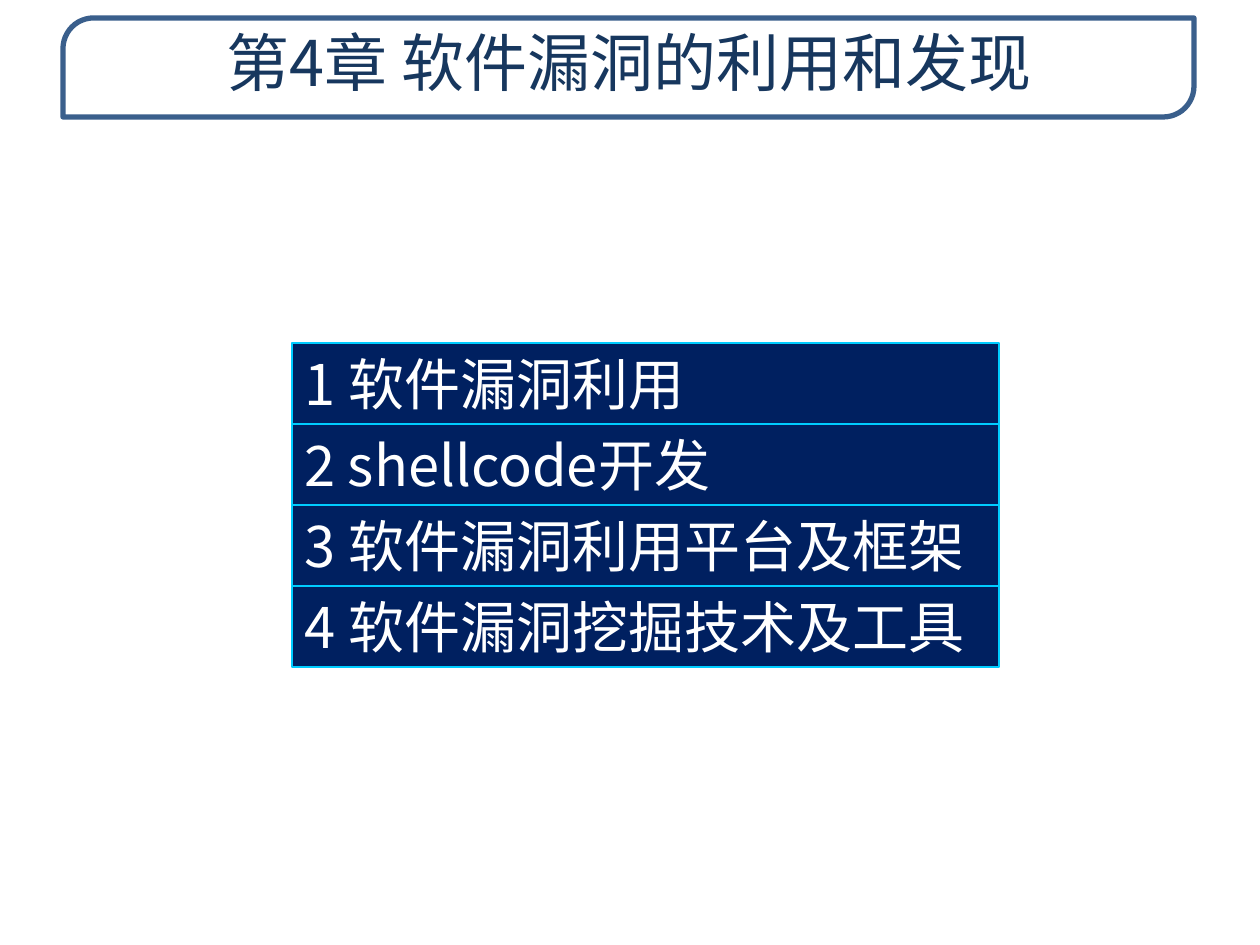
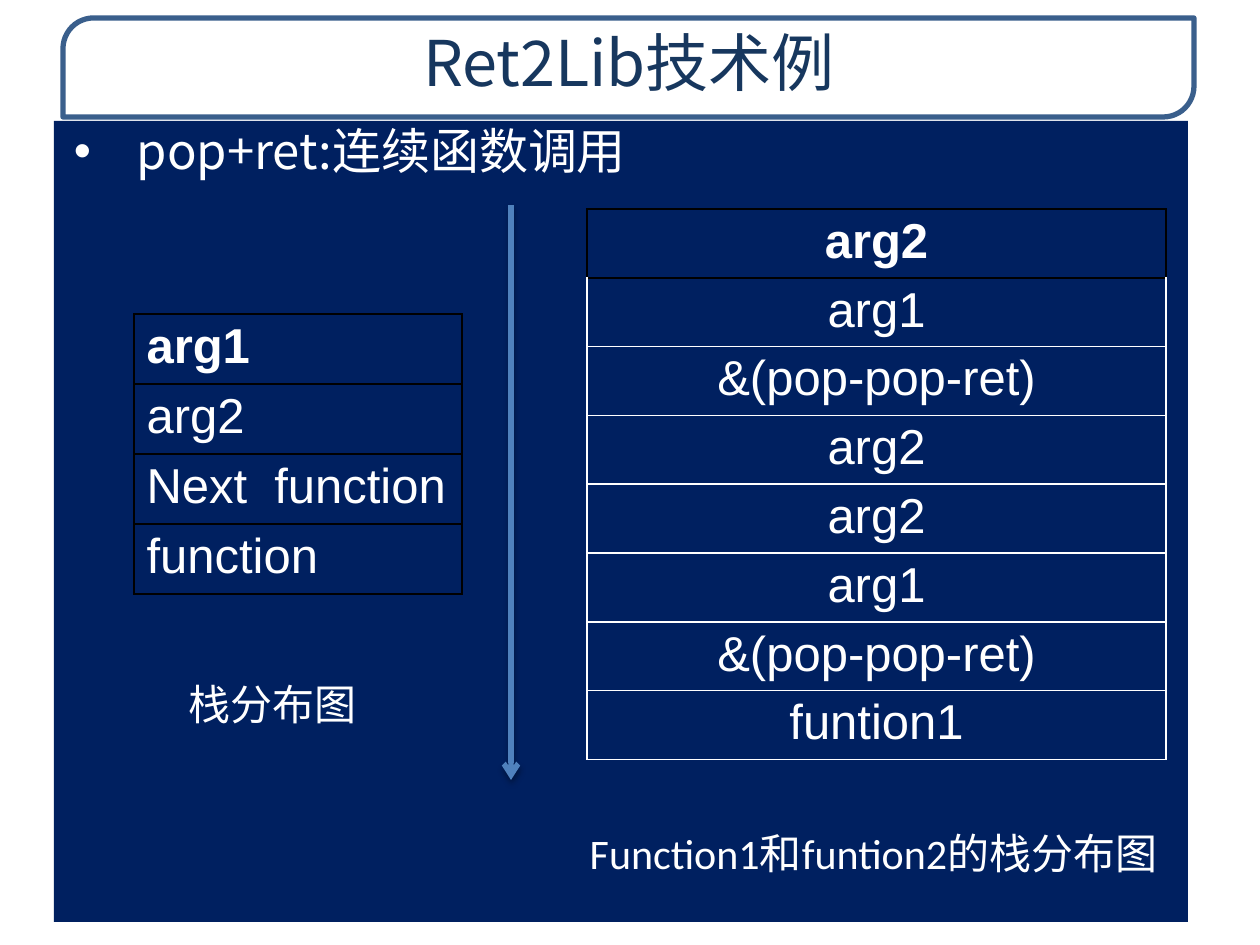
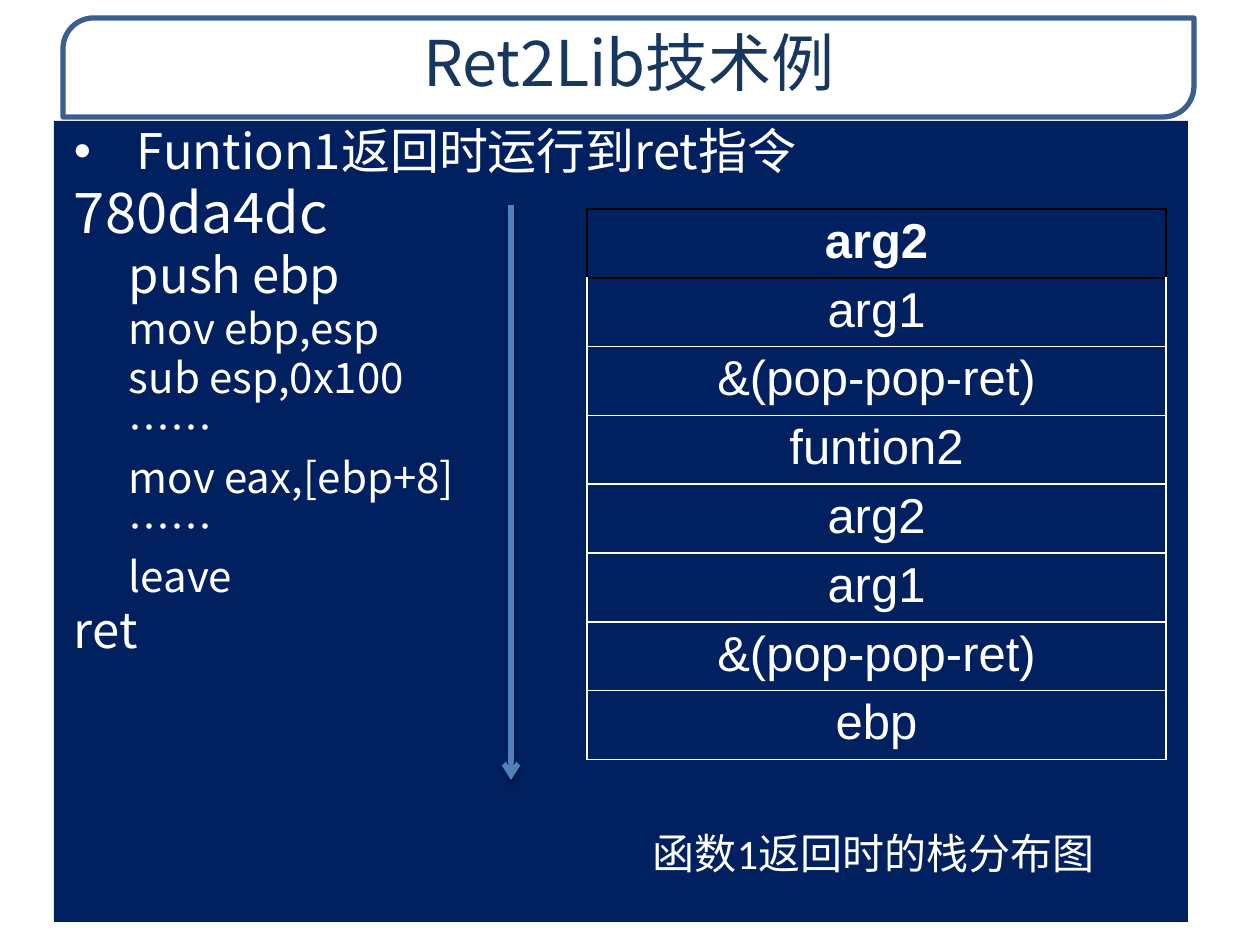
from lxml import etree
from pptx import Presentation
from pptx import util as u
from pptx.dml.color import RGBColor
from pptx.enum import shapes, text
from pptx.oxml.ns import qn

EMU_PER_PX = 914400 / 126
NAVY, WHITE, BLACK = "002060", "FFFFFF", "000000"
TITLE_INK, TITLE_EDGE = "17375E", "3A5F8C"
TOPIC_EDGE, ARROW_BLUE = "00CCFF", "4F81BD"
HAN_FONT, LATIN_FONT, STACK_FONT = "Noto Sans CJK SC", "Calibri", "Arial"
TIGHT = 0.9
CENTER, LEFT, JUSTIFY = text.PP_ALIGN.CENTER, text.PP_ALIGN.LEFT, text.PP_ALIGN.JUSTIFY
RECT = shapes.MSO_SHAPE.RECTANGLE


def px(length):
    return u.Emu(round(length * EMU_PER_PX))


def rgb(color):
    return RGBColor.from_string(color)


def child(parent, tag, **attributes):
    return etree.SubElement(parent, qn(tag), attributes)


def write(paragraph, words, size, font=HAN_FONT, color=WHITE, align=LEFT, bold=False):
    paragraph.alignment = align
    run = paragraph.add_run()
    run.text = words
    run.font.size = u.Pt(size)
    run.font.bold = bold
    run.font.color.rgb = rgb(color)
    run.font.name = font
    child(run._r.get_or_add_rPr(), "a:ea", typeface=HAN_FONT)


def block(slide, box, fill=NAVY, edge=None, edge_width=0.75, kind=RECT):
    shape = slide.shapes.add_shape(kind, *map(px, box))
    shape.shadow.inherit = False
    shape.fill.solid()
    shape.fill.fore_color.rgb = rgb(fill)
    if edge:
        shape.line.color.rgb = rgb(edge)
        shape.line.width = u.Pt(edge_width)
    else:
        shape.line.fill.background()
    shape.text_frame.word_wrap = True
    return shape


def title(slide, words):
    frame = block(slide, (63, 18, 1131, 99), WHITE, TITLE_EDGE, 3,
                  shapes.MSO_SHAPE.ROUND_2_DIAG_RECTANGLE)
    frame.adjustments[0] = 0.31
    frame.adjustments[1] = 0
    white = frame._element.spPr.find(qn("a:solidFill"))[0]
    child(white, "a:alpha", val="85000")

    heading = slide.shapes.add_textbox(*map(px, (64, 18, 1130, 96))).text_frame
    heading.word_wrap = True
    heading.vertical_anchor = text.MSO_ANCHOR.MIDDLE
    heading.paragraphs[0].line_spacing = TIGHT
    write(heading.paragraphs[0], words, 36, color=TITLE_INK, align=CENTER)


def topics(slide, names):
    height = 81
    for number, name in enumerate(names):
        top = 343 + number * height
        frame = block(slide, (292, top, 707, height), edge=TOPIC_EDGE).text_frame
        frame.margin_top = frame.margin_bottom = 0
        frame.vertical_anchor = text.MSO_ANCHOR.MIDDLE
        write(frame.paragraphs[0], f"{number + 1} {name}", 32)


def body(slide, lines):
    """Fill the navy panel with (words, size, level) lines; the first has a bullet."""
    frame = block(slide, (54, 121, 1134, 801)).text_frame
    frame.vertical_anchor = text.MSO_ANCHOR.TOP
    frame.margin_left = frame.margin_right = px(20)
    frame.margin_top = frame.margin_bottom = px(6)
    for index, (words, size, level) in enumerate(lines):
        paragraph = frame.add_paragraph() if index else frame.paragraphs[0]
        properties = paragraph._p.get_or_add_pPr()
        properties.set("marL", str(px(63 + 55 * level)))
        properties.set("indent", str(px(-63)))
        if index:
            child(properties, "a:buNone")
            paragraph.space_before = u.Pt(size / 10)
        else:
            child(properties, "a:buFont", typeface=STACK_FONT)
            child(properties, "a:buChar", char="•")
        paragraph.level = level
        paragraph.line_spacing = TIGHT
        write(paragraph, words, size, align=JUSTIFY)


def borders(cell, color, top):
    properties = cell._tc.get_or_add_tcPr()
    sides = {"L": color, "R": color, "T": top, "B": color}
    for place, (side, ink) in enumerate(sides.items()):
        line = etree.Element(qn(f"a:ln{side}"), w=str(u.Pt(1)))
        child(child(line, "a:solidFill"), "a:srgbClr", val=ink)
        properties.insert(place, line)


def stack(slide, box, entries, edge, align):
    """Draw a call stack; its first entry is bold with black borders."""
    table = slide.shapes.add_table(len(entries), 1, *map(px, box)).table
    table.first_row = table.horz_banding = False
    for index, entry in enumerate(entries):
        table.rows[index].height = px(box[3] / len(entries))
        cell = table.cell(index, 0)
        cell.margin_top = cell.margin_bottom = px(5)
        cell.fill.solid()
        cell.fill.fore_color.rgb = rgb(NAVY)
        borders(cell, edge if index else BLACK, edge if index > 1 else BLACK)
        write(cell.text_frame.paragraphs[0], entry, 28, STACK_FONT,
              align=align, bold=index == 0)


def call_stack(slide, entries):
    stack(slide, (587, 209, 579, 538), entries, WHITE, CENTER)


def growth_arrow(slide):
    arrow = slide.shapes.add_connector(shapes.MSO_CONNECTOR.STRAIGHT,
                                       px(511), px(205), px(511), px(780))
    arrow.line.color.rgb = rgb(ARROW_BLUE)
    arrow.line.width = u.Pt(3)
    child(arrow.line._get_or_add_ln(), "a:tailEnd", type="arrow")
    effects = child(arrow._element.spPr, "a:effectLst")
    shadow = child(effects, "a:outerShdw", blurRad=str(u.Pt(3.1)), dist=str(u.Pt(1.8)),
                   dir="5400000", rotWithShape="0")
    child(child(shadow, "a:srgbClr", val=BLACK), "a:alpha", val="35000")


def caption(slide, box, words):
    frame = block(slide, box).text_frame
    frame.vertical_anchor = text.MSO_ANCHOR.MIDDLE
    write(frame.paragraphs[0], words, 24, LATIN_FONT, align=CENTER)


def main():
    deck = Presentation()
    deck.slide_width, deck.slide_height = px(1260), px(945)
    headings = ["第4章 软件漏洞的利用和发现", "Ret2Lib技术例", "Ret2Lib技术例"]
    chapter, chained, returning = [deck.slides.add_slide(deck.slide_layouts[6])
                                   for _ in headings]
    for slide, heading in zip((chapter, chained, returning), headings):
        title(slide, heading)
    stack_caption = (571, 790, 605, 126)

    topics(chapter, ["软件漏洞利用", "shellcode开发", "软件漏洞利用平台及框架",
                     "软件漏洞挖掘技术及工具"])

    body(chained, [("pop+ret:连续函数调用", 28, 0)])
    stack(chained, (134, 314, 328, 280), ["arg1", "arg2", "Next  function", "function"],
          BLACK, LEFT)
    call_stack(chained, ["arg2", "arg1", "&(pop-pop-ret)", "arg2",
                         "arg2", "arg1", "&(pop-pop-ret)", "funtion1"])
    growth_arrow(chained)
    caption(chained, (134, 641, 277, 126), "栈分布图")
    caption(chained, stack_caption, "Function1和funtion2的栈分布图")

    body(returning, [
        ("Funtion1返回时运行到ret指令", 28, 0),
        ("780da4dc", 32, 0),
        ("push ebp", 28, 1),
        ("mov ebp,esp", 24, 1),
        ("sub esp,0x100", 24, 1),
        ("……", 24, 1),
        ("mov eax,[ebp+8]", 24, 1),
        ("……", 24, 1),
        ("leave", 24, 1),
        ("ret", 28, 0),
    ])
    call_stack(returning, ["arg2", "arg1", "&(pop-pop-ret)", "funtion2",
                           "arg2", "arg1", "&(pop-pop-ret)", "ebp"])
    growth_arrow(returning)
    caption(returning, stack_caption, "函数1返回时的栈分布图")

    deck.save("out.pptx")


if __name__ == "__main__":
    main()
